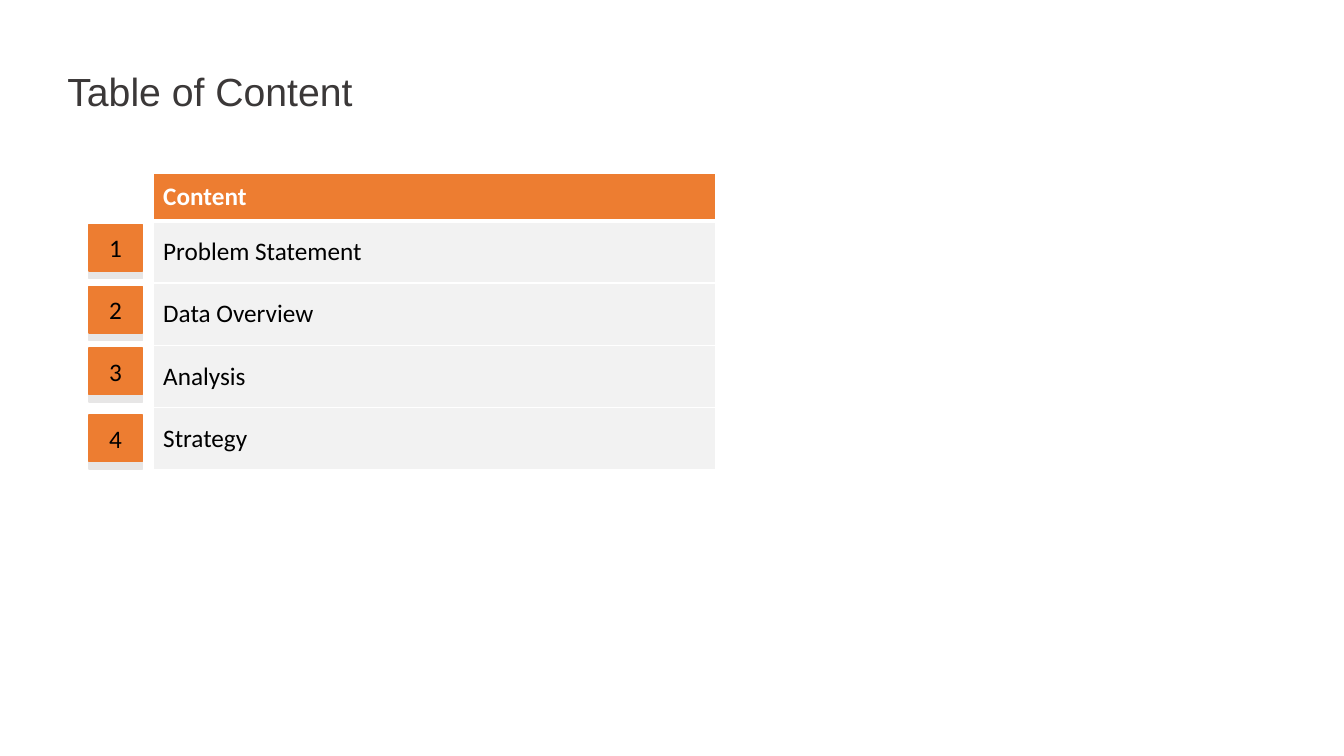
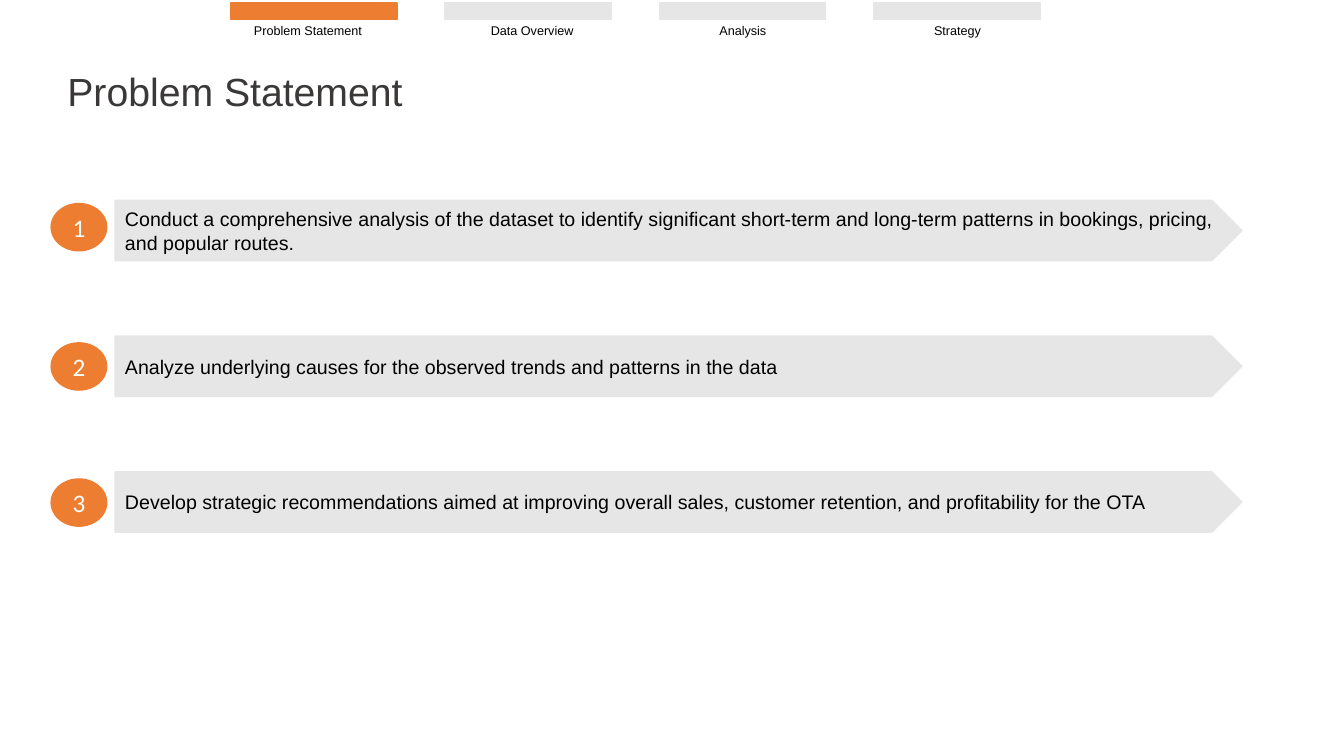
from lxml.etree import SubElement
from pptx import Presentation
from pptx.dml.color import RGBColor
from pptx.enum.shapes import MSO_SHAPE
from pptx.enum.text import MSO_ANCHOR, PP_ALIGN
from pptx.oxml.ns import qn
from pptx.util import Cm, Pt

ORANGE, GREY, PALE = "ED7D31", "E7E6E6", "F2F2F2"
DARK, BLACK, WHITE = "3B3838", "000000", "FFFFFF"

TITLE = {"name": "Arial", "size": Pt(28), "color": DARK}
LABEL = {"name": "Arial", "size": Pt(9), "color": BLACK}
POINT = {"name": "Arial", "size": Pt(14), "color": BLACK}
ENTRY = {"name": "Calibri", "size": Pt(18), "color": BLACK, "bold": False}
HEAD = {**ENTRY, "color": WHITE, "bold": True}
COUNT = {**ENTRY, "color": WHITE}

TOPICS = ["Problem Statement", "Data Overview", "Analysis", "Strategy"]
GOALS = [
    "Conduct a comprehensive analysis of the dataset to identify significant short-term "
    "and long-term patterns in bookings, pricing, and popular routes.",
    "Analyze underlying causes for the observed trends and patterns in the data",
    "Develop strategic recommendations aimed at improving overall sales, customer "
    "retention, and profitability for the OTA",
]


def shade(hue):
    return RGBColor.from_string(hue)


def write(frame, text, style, align=PP_ALIGN.LEFT):
    para = frame.paragraphs[0]
    para.alignment = align
    run = para.add_run()
    run.text = text
    for key, value in style.items():
        if key == "color":
            run.font.color.rgb = shade(value)
        else:
            setattr(run.font, key, value)
    return para


def add_form(slide, kind, box, hue, text="", style=ENTRY, align=PP_ALIGN.CENTER):
    form = slide.shapes.add_shape(kind, *map(Cm, box))
    form.shadow.inherit = False
    form.fill.solid()
    form.fill.fore_color.rgb = shade(hue)
    form.line.color.rgb = shade(hue)
    form.line.width = Pt(1)
    if text:
        form.text_frame.vertical_anchor = MSO_ANCHOR.MIDDLE
        write(form.text_frame, text, style, align)


def add_text(slide, box, text, style, wrap=True, anchor=MSO_ANCHOR.TOP):
    frame = slide.shapes.add_textbox(*map(Cm, box)).text_frame
    frame.word_wrap = wrap
    frame.vertical_anchor = anchor
    return write(frame, text, style)


def add_page(deck, title):
    slide = deck.slides.add_slide(deck.slide_layouts[6])
    para = add_text(slide, (1.45, 1.24, 19.1, 1.78), title, TITLE, anchor=MSO_ANCHOR.BOTTOM)
    para.line_spacing = 0.9
    return slide


def add_edges(cell, widths):
    props = cell._tc.get_or_add_tcPr()
    for side, width in widths.items():
        edge = SubElement(props, qn(f"a:ln{side}"), w=str(Pt(width)))
        fill = SubElement(edge, qn("a:solidFill"))
        SubElement(fill, qn("a:srgbClr"), val=WHITE)


def add_list(slide, items):
    rows = ["Content", *items]
    heights = [1.19] + [1.57] * len(items)
    box = (3.86, 4.37, 14.17, sum(heights))
    table = slide.shapes.add_table(len(rows), 1, *map(Cm, box)).table
    for index, (text, height) in enumerate(zip(rows, heights)):
        table.rows[index].height = Cm(height)
        cell = table.cell(index, 0)
        cell.vertical_anchor = MSO_ANCHOR.MIDDLE
        top, base = 3 if index == 1 else 1, 3 if index == 0 else 1
        add_edges(cell, {"L": 1, "R": 1, "T": top, "B": base})
        cell.fill.solid()
        cell.fill.fore_color.rgb = shade(PALE if index else ORANGE)
        write(cell.text_frame, text, ENTRY if index else HEAD)


def add_badge(slide, top, text):
    left, width, height, drop = 2.24, 1.35, 1.17, 0.19
    add_form(slide, MSO_SHAPE.RECTANGLE, (left, top + drop, width, height), GREY)
    add_form(slide, MSO_SHAPE.RECTANGLE, (left, top, width, height), ORANGE, text)


def add_tabs(slide, active):
    spots = [(6.15, 3.25), (12.12, 2.62), (17.88, 1.7), (23.29, 1.7)]
    for index, (topic, (left, width)) in enumerate(zip(TOPICS, spots)):
        hue = ORANGE if topic == active else GREY
        add_form(slide, MSO_SHAPE.RECTANGLE, (5.82 + 5.4 * index, 0.08, 4.19, 0.41), hue)
        add_text(slide, (left, 0.46, width, 0.64), topic, LABEL, wrap=False)


def add_goal(slide, index, top, text):
    bar = (2.9, 5.05 + 3.42 * index, 28.4, 1.52)
    add_form(slide, MSO_SHAPE.PENTAGON, bar, GREY, text, POINT, PP_ALIGN.LEFT)
    add_form(slide, MSO_SHAPE.OVAL, (1.29, top, 1.4, 1.19), ORANGE, str(index + 1), COUNT)


def main():
    deck = Presentation()
    deck.slide_width, deck.slide_height = Cm(33.87), Cm(19.05)

    slide = add_page(deck, "Table of Content")
    add_list(slide, TOPICS)
    for number, top in enumerate([5.66, 7.22, 8.77, 10.46], 1):
        add_badge(slide, top, str(number))

    slide = add_page(deck, TOPICS[0])
    add_tabs(slide, TOPICS[0])
    for index, (top, goal) in enumerate(zip([5.13, 8.64, 12.07], GOALS)):
        add_goal(slide, index, top, goal)

    deck.save("out.pptx")


if __name__ == "__main__":
    main()
